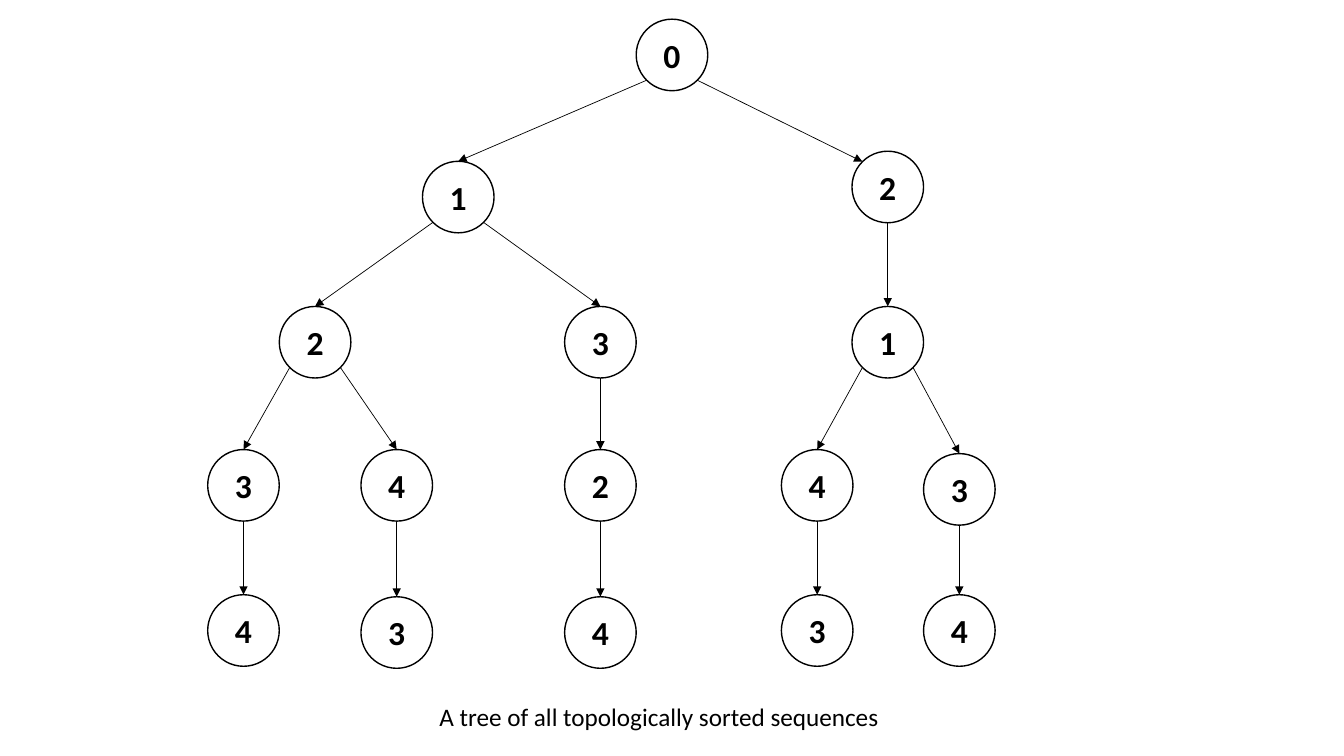
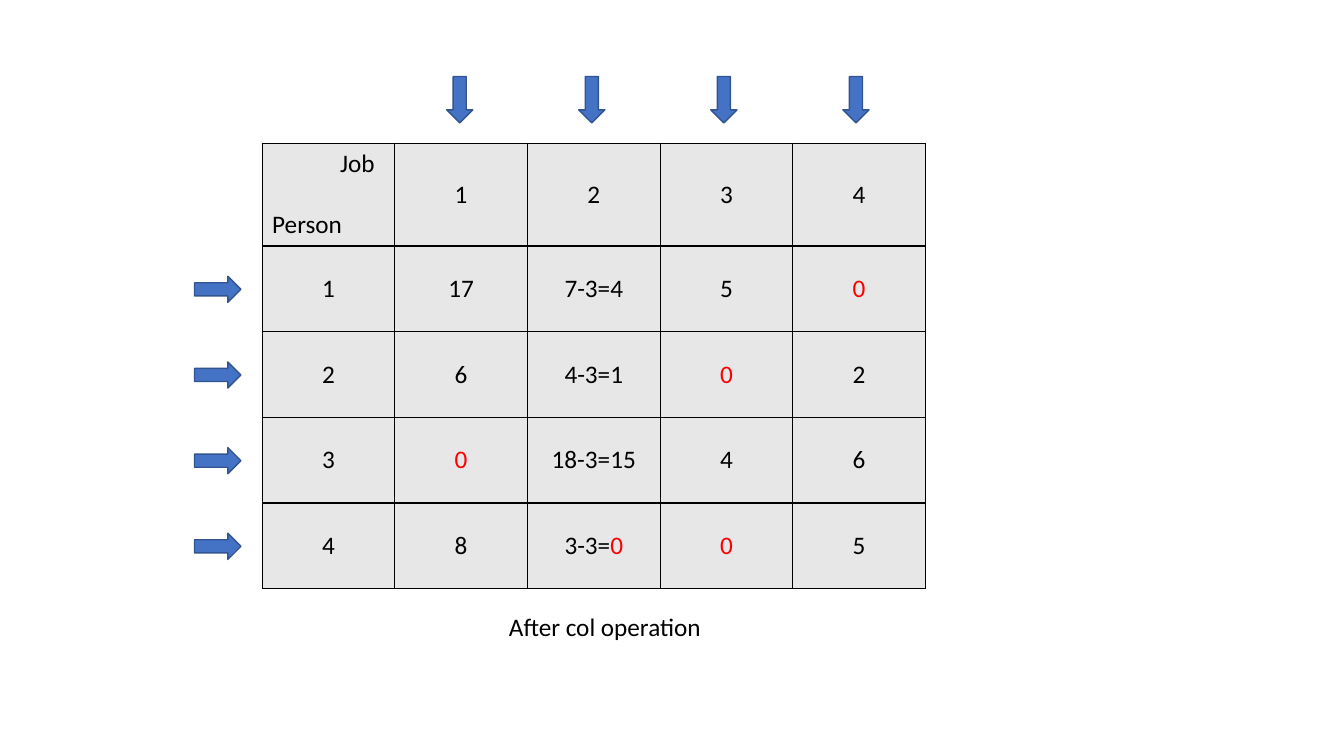
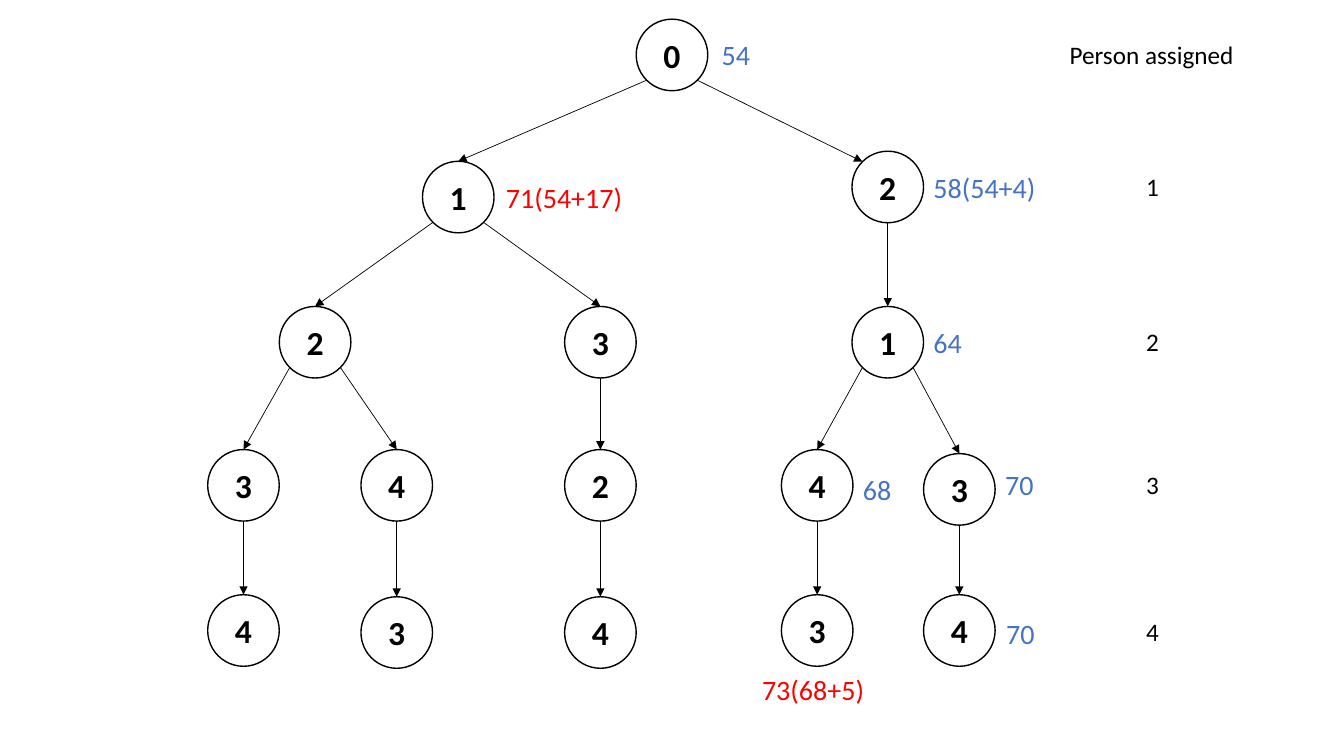
"""Build three slides: a tree of sequences, a job assignment table and a tree with costs."""
from math import sqrt

from lxml.etree import SubElement
from pptx import Presentation
from pptx.dml.color import RGBColor
from pptx.enum.shapes import MSO_CONNECTOR as CONNECTOR, MSO_SHAPE as SHAPE
from pptx.enum.text import MSO_ANCHOR as ANCHOR, MSO_AUTO_SIZE as AUTO_SIZE, PP_ALIGN as ALIGN
from pptx.oxml import parse_xml
from pptx.oxml.ns import nsdecls, qn
from pptx.util import Inches, Pt

BLACK = RGBColor(0x00, 0x00, 0x00)
WHITE = RGBColor(0xFF, 0xFF, 0xFF)
RED = RGBColor(0xFF, 0x00, 0x00)
BLUE = RGBColor(0x44, 0x72, 0xC4)
DARK_BLUE = RGBColor(0x32, 0x54, 0x91)
GREY = RGBColor(0xE7, 0xE7, 0xE7)
FONT = "Calibri"


def write(paragraph, text, size=18, color=BLACK, bold=False, align=ALIGN.LEFT):
    paragraph.alignment = align
    run = paragraph.add_run()
    run.text = text
    run.font.name = FONT
    run.font.size = Pt(size)
    run.font.bold = bold
    run.font.color.rgb = color


def add_label(slide, text, left, top, width, size=18, color=BLACK):
    height = 0.04 + size * 0.02
    box = slide.shapes.add_textbox(Inches(left), Inches(top), Inches(width), Inches(height))
    box.text_frame.word_wrap = False
    box.text_frame.auto_size = AUTO_SIZE.SHAPE_TO_FIT_TEXT
    write(box.text_frame.paragraphs[0], text, size=size, color=color)


presentation = Presentation()
presentation.slide_width = Inches(13.33)
presentation.slide_height = Inches(7.5)
blank_layout = presentation.slide_layouts[6]
sequence_slide, table_slide, cost_slide = [
    presentation.slides.add_slide(blank_layout) for _ in range(3)
]

DIAMETER = 0.71
RADIUS = DIAMETER / 2
DIAGONAL = RADIUS / sqrt(2)
NODES = {
    "0": (6.31, 0.19),
    "01": (4.19, 1.6), "02": (8.45, 1.5),
    "012": (2.77, 3.04), "013": (5.6, 3.04), "021": (8.45, 3.04),
    "0123": (2.06, 4.46), "0124": (3.58, 4.46), "0132": (5.6, 4.46),
    "0214": (7.75, 4.46), "0213": (9.16, 4.5),
    "01234": (2.06, 5.9), "01243": (3.58, 5.92), "01324": (5.6, 5.92),
    "02143": (7.75, 5.9), "02134": (9.16, 5.9),
}
ENTERED_AT_CORNER = "02"

for slide in (sequence_slide, cost_slide):
    for sequence, (left, top) in NODES.items():
        node = slide.shapes.add_shape(
            SHAPE.OVAL, Inches(left), Inches(top), Inches(DIAMETER), Inches(DIAMETER))
        node.shadow.inherit = False
        node.fill.solid()
        node.fill.fore_color.rgb = WHITE
        node.line.color.rgb = BLACK
        node.line.width = Pt(1)
        node.text_frame.vertical_anchor = ANCHOR.MIDDLE
        write(node.text_frame.paragraphs[0], sequence[-1], size=24, bold=True, align=ALIGN.CENTER)

        parent = sequence[:-1]
        if not parent:
            continue
        parent_left, parent_top = NODES[parent]
        side = (left > parent_left) - (left < parent_left)
        start_x = parent_left + RADIUS + side * DIAGONAL
        start_y = parent_top + RADIUS + (DIAGONAL if side else RADIUS)
        end_x, end_y = left + RADIUS, top
        if sequence == ENTERED_AT_CORNER:
            end_x -= DIAGONAL
            end_y += RADIUS - DIAGONAL
        edge = slide.shapes.add_connector(
            CONNECTOR.STRAIGHT, Inches(start_x), Inches(start_y), Inches(end_x), Inches(end_y))
        edge.line.color.rgb = BLACK
        edge.line.width = Pt(0.5)
        SubElement(edge.line._get_or_add_ln(), qn("a:tailEnd"), type="triangle")
        SubElement(edge._element.spPr, qn("a:effectLst"))

add_label(sequence_slide, "A tree of all topologically sorted sequences", 4.26, 6.91, 4.61)

ROWS = [
    ["", "1", "2", "3", "4"],
    ["1", "17", "7-3=4", "5", "0"],
    ["2", "6", "4-3=1", "0", "2"],
    ["3", "0", "18-3=15", "4", "6"],
    ["4", "8", "3-3=0", "0", "5"],
]
HEADER_HEIGHT, ROW_HEIGHT = 1.02, 0.85
table = table_slide.shapes.add_table(
    len(ROWS), len(ROWS[0]), Inches(2.6), Inches(1.42), Inches(6.58),
    Inches(HEADER_HEIGHT + 4 * ROW_HEIGHT)).table
table.first_row = False
table.horz_banding = False
for row_index, values in enumerate(ROWS):
    table.rows[row_index].height = Inches(ROW_HEIGHT if row_index else HEADER_HEIGHT)
    for column_index, text in enumerate(values):
        cell = table.cell(row_index, column_index)
        cell_properties = cell._tc.get_or_add_tcPr()
        for border in ("lnL", "lnR", "lnT", "lnB"):
            cell_properties.append(parse_xml(
                f'<a:{border} {nsdecls("a")} w="{Pt(1)}"><a:solidFill>'
                f'<a:srgbClr val="{BLACK}"/></a:solidFill></a:{border}>'))
        cell.fill.solid()
        cell.fill.fore_color.rgb = GREY
        if not text:
            continue
        cell.vertical_anchor = ANCHOR.MIDDLE
        paragraph = cell.text_frame.paragraphs[0]
        expression, equals, result = text.rpartition("=")
        if equals:
            write(paragraph, expression + equals, align=ALIGN.CENTER)
        write(paragraph, result, color=RED if result == "0" else BLACK, align=ALIGN.CENTER)

corner = table.cell(0, 0)
corner.margin_right = Inches(0.2)
write(corner.text_frame.paragraphs[0], "Job", align=ALIGN.RIGHT)
person = corner.text_frame.add_paragraph()
person.space_before = Pt(22)
write(person, "Person")

column_arrows = [(4.43 + 1.31 * index, 0.76, 0) for index in range(4)]
row_arrows = [(2.03, 2.64 + ROW_HEIGHT * index, 270) for index in range(4)]
for left, top, rotation in column_arrows + row_arrows:
    arrow = table_slide.shapes.add_shape(
        SHAPE.DOWN_ARROW, Inches(left), Inches(top), Inches(0.26), Inches(0.46))
    arrow.rotation = rotation
    arrow.shadow.inherit = False
    arrow.fill.solid()
    arrow.fill.fore_color.rgb = BLUE
    arrow.line.color.rgb = DARK_BLUE
    arrow.line.width = Pt(1)

add_label(table_slide, "After col operation", 4.95, 6.02, 2.13)

COSTS = [
    ("54", 7.06, 0.32, 0.49, BLUE),
    ("58(54+4)", 9.16, 1.64, 1.22, BLUE),
    ("64", 9.16, 3.18, 0.49, BLUE),
    ("70", 9.87, 4.59, 0.49, BLUE),
    ("70", 9.88, 6.07, 0.49, BLUE),
    ("68", 8.46, 4.64, 0.49, BLUE),
    ("73(68+5)", 7.46, 6.62, 1.22, RED),
    ("71(54+17)", 4.92, 1.74, 1.37, RED),
]
for text, left, top, width, color in COSTS:
    add_label(cost_slide, text, left, top, width, size=20, color=color)

add_label(cost_slide, "Person assigned", 10.51, 0.34, 1.85)
for number, top in enumerate((1.65, 3.19, 4.61, 6.07), start=1):
    add_label(cost_slide, str(number), 11.27, top, 0.33)

presentation.save("out.pptx")
